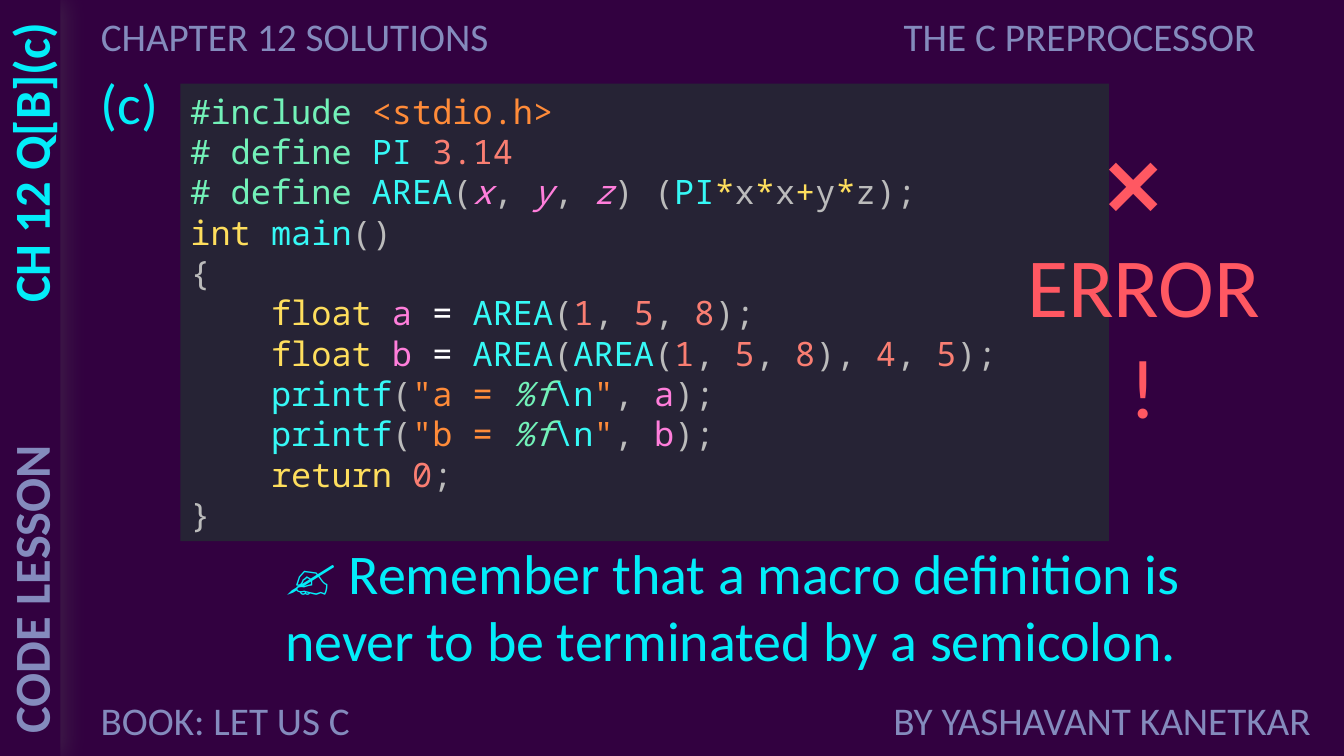
from dataclasses import dataclass, field
from itertools import chain

from lxml import etree
from pptx import Presentation, util as u
from pptx.dml.color import RGBColor
from pptx.enum import shapes, text
from pptx.oxml import ns

CELL = 0.1  # inches per grid column and row
COLUMNS, ROWS = 133.33, 75
LEFT, CENTER, RIGHT = text.PP_ALIGN.LEFT, text.PP_ALIGN.CENTER, text.PP_ALIGN.RIGHT


@dataclass(frozen=True)
class Theme:
    back: str = "320140"
    panel: str = "262335"
    glow: str = "595959"
    accent: str = "03EDF9"
    muted: str = "848BBD"
    error: str = "FF5862"
    body_font: str = "Calibri"
    code_font: str = "Noto Sans Mono"
    label: float = 28
    side: float = 36
    body: float = 40
    verdict: float = 60
    code: float = 24
    code_pitch: float = 28.8
    syntax: dict[str, str] = field(default_factory=lambda: {
        "directive": "72F1B8", "string": "FF8B39", "name": "36F9F6",
        "number": "F97E72", "plain": "BBBBBB", "variable": "FF7EDB",
        "parameter": "FF7EDB", "format": "72F1B8", "keyword": "FEDE5D",
        "assign": "FFFFFF"})


THEME = Theme()
ITALIC_ROLES = {"parameter", "format"}


@dataclass(frozen=True)
class Area:
    left: float
    top: float
    width: float
    height: float

    def lengths(self) -> list[u.Length]:
        return [u.Inches(n * CELL) for n in (self.left, self.top, self.width, self.height)]


@dataclass(frozen=True)
class Label:
    lines: tuple[str, ...]
    area: Area
    size: float
    color: str
    align: text.PP_ALIGN = LEFT
    bold: bool = False
    turn: float = 0


@dataclass(frozen=True)
class Token:
    role: str
    words: str


CodeLine = list[Token]


def tokens(*pairs: tuple[str, str]) -> CodeLine:
    return [Token(role, words) for role, words in pairs]


def add_span(para, words: str, font: str, size: float, color: str,
             bold: bool = False, italic: bool = False) -> None:
    span = para.add_run()
    span.text = words
    span.font.name, span.font.size = font, u.Pt(size)
    span.font.bold, span.font.italic = bold, italic
    span.font.color.rgb = RGBColor.from_string(color)


def write_label(box, label: Label) -> None:
    box.left, box.top, box.width, box.height = label.area.lengths()
    box.rotation = label.turn
    frame = box.text_frame
    frame.word_wrap = True
    frame.auto_size = text.MSO_AUTO_SIZE.SHAPE_TO_FIT_TEXT
    frame.vertical_anchor = text.MSO_ANCHOR.TOP
    for index, line in enumerate(label.lines):
        para = frame.add_paragraph() if index else frame.paragraphs[0]
        para.alignment = label.align
        para.line_spacing = 1.0
        para.space_before = u.Pt(0)
        add_span(para, line, THEME.body_font, label.size, label.color, label.bold)


def add_panel(page, area: Area, color: str):
    panel = page.shapes.add_shape(shapes.MSO_SHAPE.RECTANGLE, *area.lengths())
    panel.shadow.inherit = False
    panel.fill.solid()
    panel.fill.fore_color.rgb = RGBColor.from_string(color)
    panel.line.fill.background()
    return panel


def add_glow(panel, color: str) -> None:
    effects = panel._element.spPr.find(ns.qn("a:effectLst"))
    shadow = etree.SubElement(effects, ns.qn("a:outerShdw"), blurRad=str(u.Pt(17)),
                              dist=str(u.Pt(3)), dir="0", algn="l", rotWithShape="0")
    tint = etree.SubElement(shadow, ns.qn("a:srgbClr"), val=color)
    etree.SubElement(tint, ns.qn("a:alpha"), val="35000")


def write_code(panel, lines: list[CodeLine]) -> None:
    frame = panel.text_frame
    frame.word_wrap = True
    frame.vertical_anchor = text.MSO_ANCHOR.MIDDLE
    for index, line in enumerate(lines):
        para = frame.add_paragraph() if index else frame.paragraphs[0]
        para.alignment = LEFT
        para.line_spacing = u.Pt(THEME.code_pitch)
        for token in line:
            add_span(para, token.words, THEME.code_font, THEME.code,
                     THEME.syntax[token.role], italic=token.role in ITALIC_ROLES)


# Code listing
INDENT = ("plain", "    ")


def area_call(*arguments: CodeLine) -> CodeLine:
    listed = chain.from_iterable(
        (tokens(("plain", ", ")) if index else []) + argument
        for index, argument in enumerate(arguments))
    return [*tokens(("name", "AREA"), ("plain", "(")), *listed, Token("plain", ")")]


def numbers(*digits: str) -> list[CodeLine]:
    return [tokens(("number", digit)) for digit in digits]


def float_line(variable: str, value: CodeLine) -> CodeLine:
    return [*tokens(INDENT, ("keyword", "float "), ("variable", variable + " "),
                    ("assign", "= ")), *value, Token("plain", ";")]


def print_line(variable: str) -> CodeLine:
    return tokens(INDENT, ("name", "printf"), ("plain", "("), ("string", f'"{variable} = '),
                  ("format", "%f"), ("name", "\\n"), ("string", '"'), ("plain", ", "),
                  ("variable", variable), ("plain", ");"))


FIRST_AREA = area_call(*numbers("1", "5", "8"))
CODE: list[CodeLine] = [
    tokens(("directive", "#include "), ("string", "<stdio.h>")),
    tokens(("directive", "# define "), ("name", "PI "), ("number", "3.14")),
    tokens(("directive", "# define "), ("name", "AREA"), ("plain", "("),
           ("parameter", "x"), ("plain", ", "), ("parameter", "y"), ("plain", ", "),
           ("parameter", "z"), ("plain", ") ("), ("name", "PI"), ("keyword", "*"),
           ("plain", "x"), ("keyword", "*"), ("plain", "x"), ("keyword", "+"),
           ("plain", "y"), ("keyword", "*"), ("plain", "z);")),
    tokens(("keyword", "int "), ("name", "main"), ("plain", "()")),
    tokens(("plain", "{")),
    float_line("a", FIRST_AREA),
    float_line("b", area_call(FIRST_AREA, *numbers("4", "5"))),
    print_line("a"),
    print_line("b"),
    tokens(INDENT, ("keyword", "return "), ("number", "0"), ("plain", ";")),
    tokens(("plain", "}")),
]

# Labels around and over the listing
T = THEME
TITLE = Label(("CHAPTER 12 SOLUTIONS",), Area(9, 0.7, 41.8, 5.7), T.label, T.muted)
FRAME_LABELS = [
    Label(("CH 12 Q[B](c)",), Area(-15.7, 16.4, 37.4, 7.1), T.side, T.accent, RIGHT, True, 270),
    Label(("(c)",), Area(9, 6.3, 8.9, 7.7), T.body, T.accent),
    Label(("THE C PREPROCESSOR",), Area(56, 0.7, 69.5, 5.7), T.label, T.muted, RIGHT),
    Label(("BOOK: LET US C",), Area(9, 68.6, 27.8, 5.7), T.label, T.muted),
    Label(("BY YASHAVANT KANETKAR",), Area(83.4, 68.6, 47.6, 5.7), T.label, T.muted, RIGHT),
    Label(("CODE LESSON",), Area(-13.9, 53.3, 33.8, 7.1), T.side, T.muted, LEFT, True, 270),
]
ANSWER_LABELS = [
    Label(("✍️ Remember that a macro definition is never to be terminated by a semicolon.",),
          Area(27.3, 52.9, 96.5, 14.5), T.body, T.accent),
    Label(("❌ ", "ERROR!"), Area(99.9, 12.7, 27.1, 21.2), T.verdict, T.error, CENTER),
]


def add_labels(page, labels: list[Label]) -> None:
    for label in labels:
        write_label(page.shapes.add_textbox(*label.area.lengths()), label)


def main() -> None:
    deck = Presentation()
    deck.slide_width, deck.slide_height = u.Inches(COLUMNS * CELL), u.Inches(ROWS * CELL)
    page = deck.slides.add_slide(deck.slide_layouts[5])
    page.background.fill.solid()
    page.background.fill.fore_color.rgb = RGBColor.from_string(THEME.back)
    write_label(page.shapes.title, TITLE)
    # Side band with its soft edge
    add_glow(add_panel(page, Area(-130.5, 0, 136.5, ROWS), THEME.back), THEME.glow)
    add_labels(page, FRAME_LABELS)
    write_code(add_panel(page, Area(17.9, 8.3, 92.1, 45.4), THEME.panel), CODE)
    add_labels(page, ANSWER_LABELS)
    deck.save("out.pptx")


if __name__ == "__main__":
    main()
